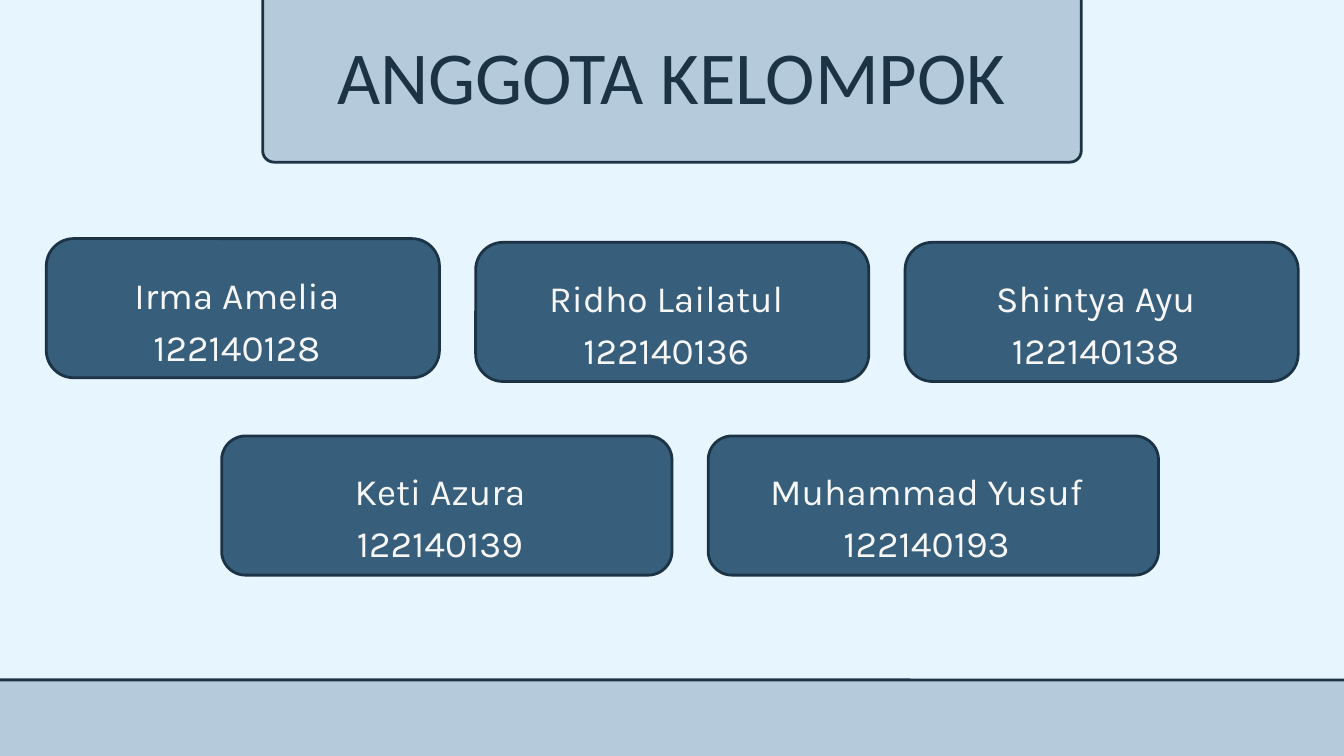
from dataclasses import dataclass

from pptx import Presentation
from pptx.dml.color import RGBColor
from pptx.enum.shapes import MSO_SHAPE
from pptx.enum.text import MSO_ANCHOR, MSO_AUTO_SIZE, PP_ALIGN
from pptx.util import Cm, Pt

ROUND = MSO_SHAPE.ROUNDED_RECTANGLE
CENTER = PP_ALIGN.CENTER
TOP = MSO_ANCHOR.TOP
FIXED = MSO_AUTO_SIZE.NONE

SKY = RGBColor(0xE7, 0xF5, 0xFF)
MIST = RGBColor(0xB5, 0xCB, 0xDB)
STEEL = RGBColor(0x37, 0x5F, 0x7B)
NAVY = RGBColor(0x1B, 0x33, 0x44)
PALE = RGBColor(0xF7, 0xF7, 0xF7)

GAP = 1.37
HIGH = 5.26


@dataclass
class Box:
    """A rounded box, in centimetres."""
    left: float
    top: float
    width: float
    height: float
    radius: float
    fill: RGBColor


@dataclass
class Member:
    name: str
    number: str
    drop: float = 0


@dataclass
class Row:
    left: float
    top: float
    width: float
    radius: float
    members: list[Member]


ROWS = [
    Row(1.75, 9.02, 14.86, 1.04, [
        Member("Irma Amelia", "122140128"),
        Member("Ridho Lailatul", "122140136", 0.14),
        Member("Shintya Ayu", "122140138", 0.14),
    ]),
    Row(8.38, 16.48, 17.02, 0.9, [
        Member("Keti Azura", "122140139"),
        Member("Muhammad Yusuf", "122140193"),
    ]),
]


def draw_box(slide, box: Box):
    shape = slide.shapes.add_shape(
        ROUND, Cm(box.left), Cm(box.top), Cm(box.width), Cm(box.height))
    shape.adjustments[0] = box.radius / min(box.width, box.height)
    shape.shadow.inherit = False
    shape.fill.solid()
    shape.fill.fore_color.rgb = box.fill
    shape.line.color.rgb = NAVY
    shape.line.width = Pt(3)
    return shape


def set_frame(frame, left: float = 0, top: float = 0, right: float = 0) -> None:
    frame.word_wrap = True
    frame.auto_size = FIXED
    frame.vertical_anchor = TOP
    frame.margin_left, frame.margin_right = Cm(left), Cm(right)
    frame.margin_top, frame.margin_bottom = Cm(top), 0


def add_line(para, text: str, font: str, size: float,
             color: RGBColor, pitch: float) -> None:
    para.alignment = CENTER
    para.line_spacing = Pt(pitch)
    para.space_before = Pt(0)
    run = para.add_run()
    run.text = text
    run.font.name = font
    run.font.size = Pt(size)
    run.font.color.rgb = color


def draw_row(slide, row: Row) -> None:
    for i, member in enumerate(row.members):
        left = row.left + i * (row.width + GAP)
        card = draw_box(slide, Box(left, row.top + member.drop, row.width,
                                   HIGH, row.radius, STEEL))
        frame = card.text_frame
        set_frame(frame, 0.09 * row.width, 0.67, 0.12 * row.width)
        add_line(frame.paragraphs[0], member.name, "Karla", 39.8, PALE, 55.8)
        add_line(frame.add_paragraph(), member.number, "Karla", 39.8, PALE, 55.8)


def draw_title(slide, text: str) -> None:
    title = slide.shapes.title
    title.left, title.top = Cm(11.05), Cm(2.13)
    title.width, title.height = Cm(28.68), Cm(2.62)
    set_frame(title.text_frame)
    add_line(title.text_frame.paragraphs[0], text, "Calibri", 80, NAVY, 68)
    # Bring the title in front of its panel
    slide.shapes._spTree.append(title._element)


def main() -> None:
    deck = Presentation()
    deck.slide_width, deck.slide_height = Cm(50.8), Cm(28.575)
    slide = deck.slides.add_slide(deck.slide_layouts[5])
    slide.background.fill.solid()
    slide.background.fill.fore_color.rgb = SKY

    draw_box(slide, Box(-0.51, 25.7, 51.82, 5.1, 0.43, MIST))
    draw_box(slide, Box(9.93, -2.13, 30.94, 8.26, 0.43, MIST))
    draw_title(slide, "ANGGOTA KELOMPOK")
    for row in ROWS:
        draw_row(slide, row)
    deck.save("out.pptx")


if __name__ == "__main__":
    main()
